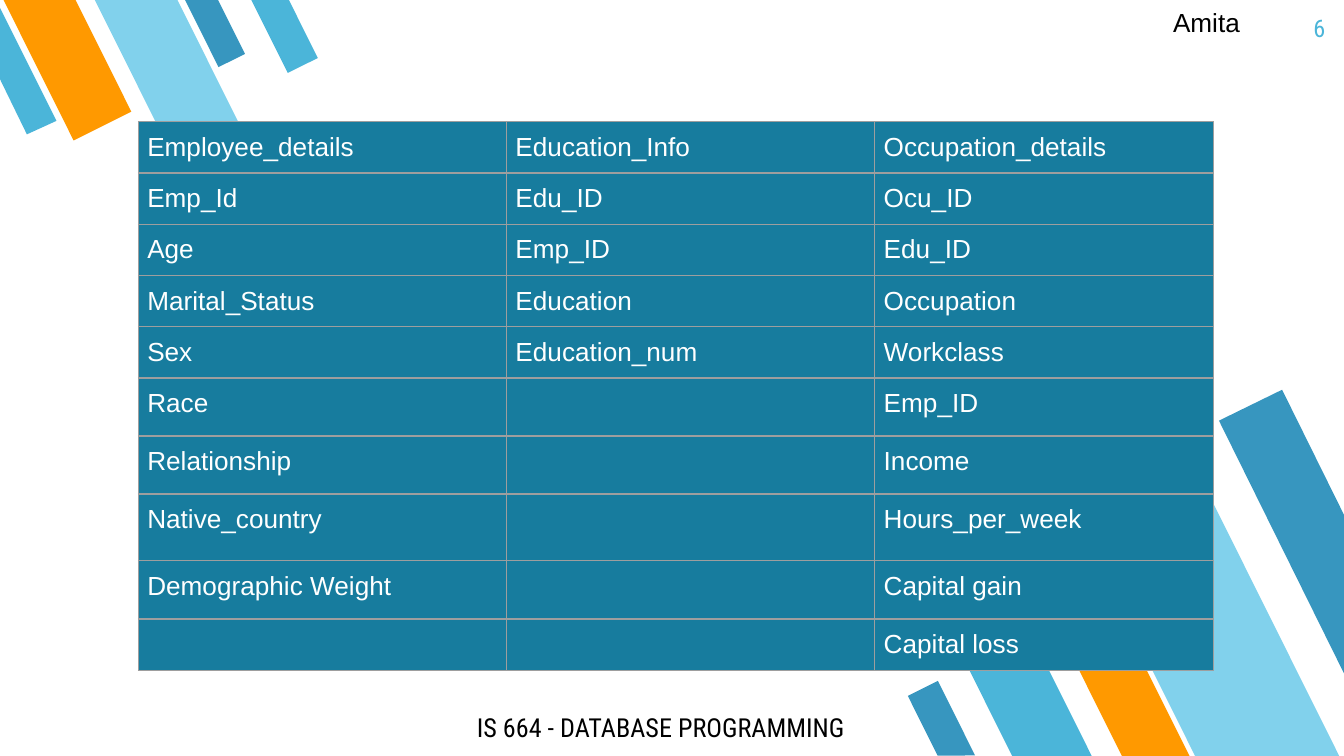
from lxml import etree
from pptx import Presentation
from pptx.dml.color import RGBColor
from pptx.enum.shapes import MSO_SHAPE
from pptx.enum.text import PP_ALIGN
from pptx.oxml.ns import qn
from pptx.util import Inches, Pt

BAND = MSO_SHAPE.FLOWCHART_MANUAL_INPUT
LEFT, RIGHT = PP_ALIGN.LEFT, PP_ALIGN.RIGHT
WHITE = RGBColor(0xFF, 0xFF, 0xFF)
BLACK = RGBColor(0, 0, 0)
TEAL = RGBColor(0x17, 0x7C, 0x9E)
BLUE = RGBColor(0x37, 0x96, 0xBF)
CYAN = RGBColor(0x4B, 0xB5, 0xD9)
PALE = RGBColor(0x81, 0xD1, 0xEC)
AMBER = RGBColor(0xFF, 0x99, 0x00)
GREY = RGBColor(0x9E, 0x9E, 0x9E)
SANS, SLIM = "Arial", "Roboto Condensed"

FIELDS = (
    ("Employee_details", "Emp_Id", "Age", "Marital_Status", "Sex", "Race",
     "Relationship", "Native_country", "Demographic Weight"),
    ("Education_Info", "Edu_ID", "Emp_ID", "Education", "Education_num"),
    ("Occupation_details", "Ocu_ID", "Edu_ID", "Occupation", "Workclass",
     "Emp_ID", "Income", "Hours_per_week", "Capital gain", "Capital loss"),
)
WIDTHS = (27.4, 27.4, 25.2)
HEIGHTS = (3.81,) * 5 + (4.32, 4.32, 4.97, 4.32, 3.81)
LOW = (
    (73.3, 45, 5.3, 13.2, CYAN),
    (85.3, 35.9, 9.6, 23.9, PALE),
    (81.8, 46.8, 4.5, 11.1, AMBER),
    (68.8, 50.9, 2.5, 6.2, BLUE),
)
HIGH = (
    (14.9, -0.8, 2.2, 5.6, BLUE),
    (2.6, -1.8, 4.8, 11.8, AMBER),
    (9.8, -2, 5.5, 13.7, PALE),
    (19.9, -1, 2.5, 6.2, CYAN),
)


def grid(*spans):
    return [Inches(span / 10) for span in spans]


class Deck:
    """Draw on one slide with a grid of 100 columns by 56.25 rows."""

    def __init__(self):
        self.file = Presentation()
        self.file.slide_width, self.file.slide_height = grid(100, 56.25)
        self.slide = self.file.slides.add_slide(self.file.slide_layouts[6])
        self.shapes = self.slide.shapes

    def paint(self, shape, color):
        shape.shadow.inherit = False
        shape.fill.solid()
        shape.fill.fore_color.rgb = color
        shape.line.fill.background()

    def band(self, left, top, width, height, color, turn):
        shape = self.shapes.add_shape(BAND, *grid(left, top, width, height))
        shape.rotation = turn
        shape.element.spPr.find(qn("a:xfrm")).set("flipH", "1")
        self.paint(shape, color)

    def cut(self, points, color):
        start, *rest = [grid(*point) for point in points]
        path = self.shapes.build_freeform(*start)
        path.add_line_segments(rest, close=True)
        self.paint(path.convert_to_shape(), color)

    def style(self, para, font, size, color, align=LEFT):
        para.alignment = align
        para.font.name = font
        para.font.size = Pt(size)
        para.font.color.rgb = color

    def text(self, words, box, font, size, color, pad=1, align=LEFT):
        frame = self.shapes.add_textbox(*grid(*box)).text_frame
        frame.word_wrap = True
        frame.margin_left, frame.margin_right = grid(1, 1)
        frame.margin_top, frame.margin_bottom = grid(pad, pad)
        frame.text = words
        self.style(frame.paragraphs[0], font, size, color, align)

    def edge(self, cell):
        props = cell._tc.get_or_add_tcPr()
        for spot, side in enumerate(("lnL", "lnR", "lnT", "lnB")):
            line = etree.Element(qn(f"a:{side}"), w=str(Pt(0.75)))
            fill = etree.SubElement(line, qn("a:solidFill"))
            etree.SubElement(fill, qn("a:srgbClr"), val=str(GREY))
            props.insert(spot, line)

    def cell(self, cell, words):
        cell.fill.solid()
        cell.fill.fore_color.rgb = TEAL
        cell.margin_left, cell.margin_right = grid(0.66, 0.66)
        cell.margin_top, cell.margin_bottom = grid(0.66, 0.66)
        cell.text = words
        para = cell.text_frame.paragraphs[0]
        para.line_spacing = 1.07
        self.style(para, SANS, 14, WHITE)
        self.edge(cell)

    def table(self, left, top):
        box = grid(left, top, sum(WIDTHS), sum(HEIGHTS))
        table = self.shapes.add_table(len(HEIGHTS), len(WIDTHS), *box).table
        for row, height in zip(table.rows, grid(*HEIGHTS)):
            row.height = height
        for col, width in enumerate(grid(*WIDTHS)):
            table.columns[col].width = width
            names = FIELDS[col]
            for row in range(len(HEIGHTS)):
                words = names[row] if row < len(names) else ""
                self.cell(table.cell(row, col), words)


def main():
    deck = Deck()
    for bands, turn in ((LOW, 153.5), (HIGH, 333.5)):
        for band in bands:
            deck.band(*band, turn)
    deck.cut(((95.4, 29), (90.7, 31.3), (100, 50.1), (100, 38.3)), BLUE)
    deck.cut(((2, 10), (4.2, 9), (0, 0.6), (0, 5.9)), CYAN)
    deck.text("6", (93.6, 0, 6, 4.3), SLIM, 13, CYAN, align=RIGHT)
    deck.text("IS 664 - DATABASE PROGRAMMING", (34.5, 51.9, 32.8, 4.4),
              SLIM, 14, BLACK)
    deck.table(10.3, 9.05)
    deck.text("Amita", (86.3, 0, 50, 3.4), SANS, 14, BLACK, pad=0.5)
    deck.file.save("out.pptx")


if __name__ == "__main__":
    main()
